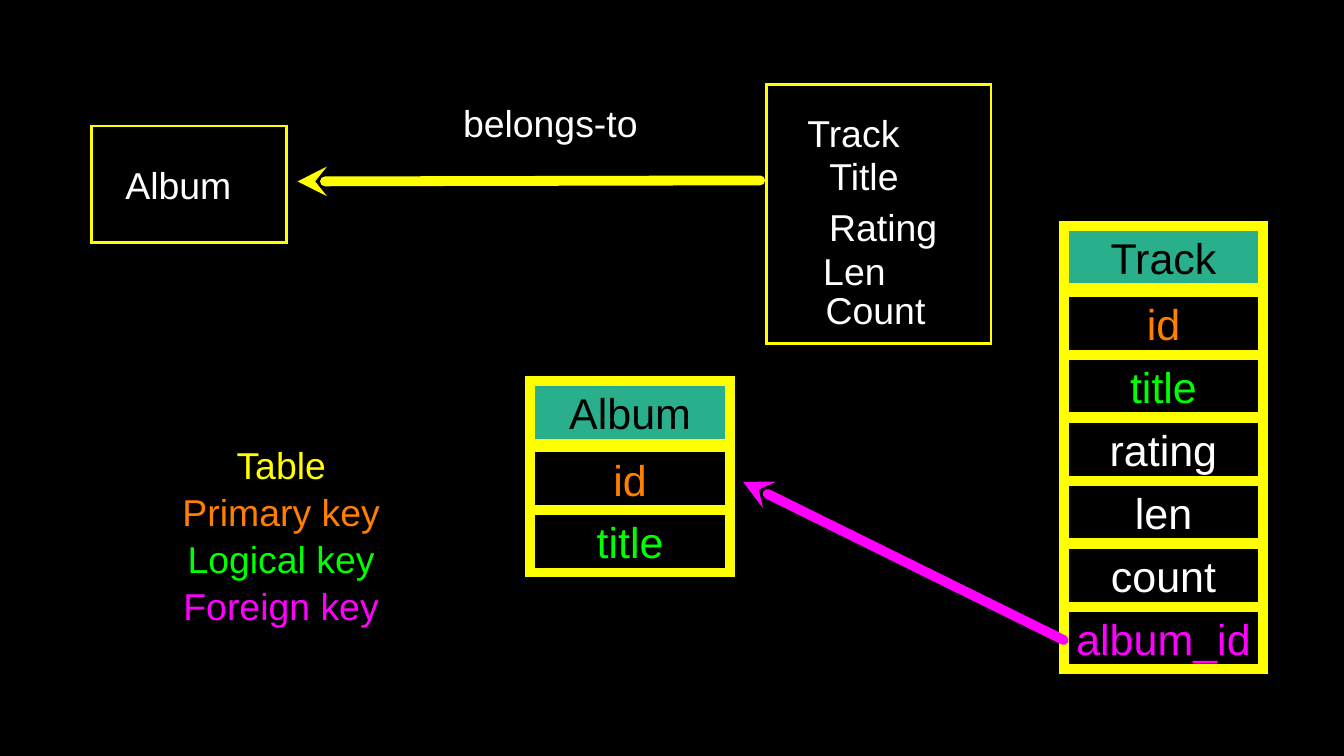
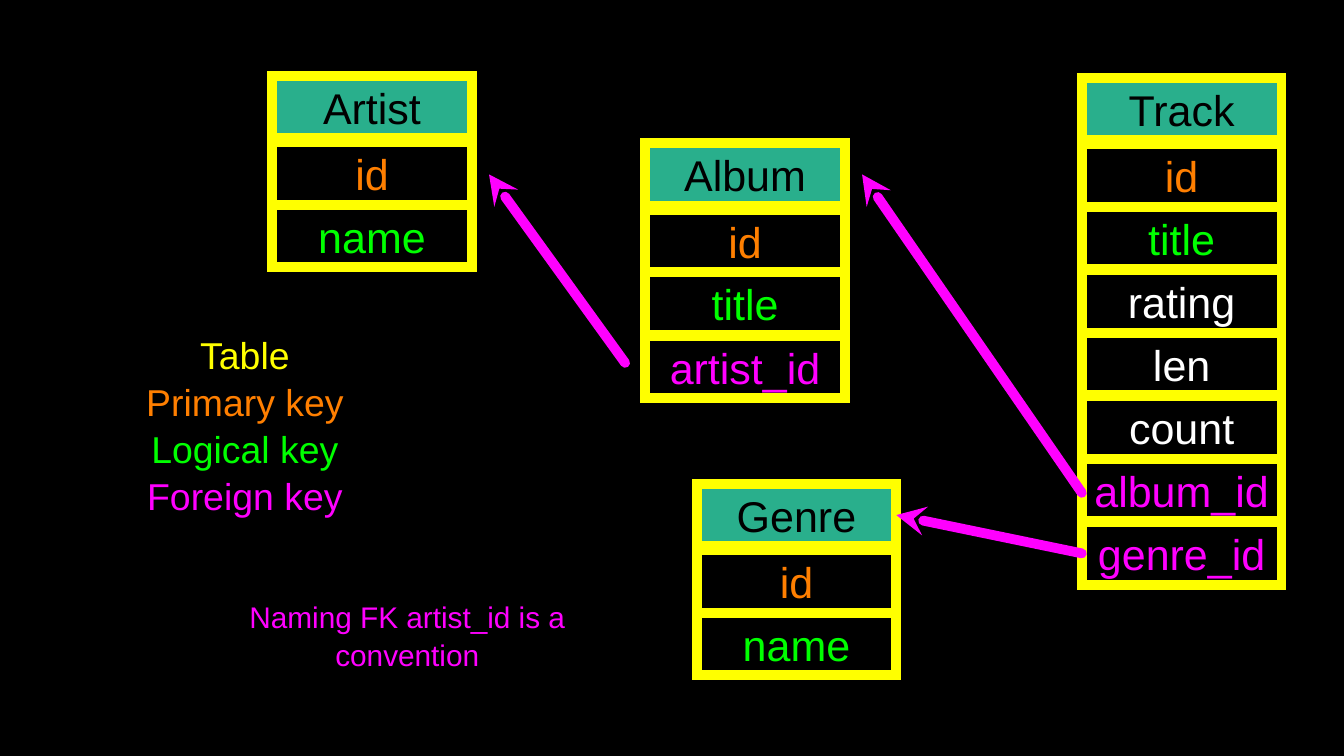
from lxml import etree
from pptx import Presentation
from pptx.dml.color import RGBColor
from pptx.enum.shapes import MSO_CONNECTOR, MSO_SHAPE
from pptx.enum.text import MSO_ANCHOR, PP_ALIGN
from pptx.oxml.ns import qn
from pptx.util import Pt

SCALE = 9144
SLIDE_WIDTH, SLIDE_HEIGHT = 1333, 750

BLACK = RGBColor(0x00, 0x00, 0x00)
WHITE = RGBColor(0xFF, 0xFF, 0xFF)
YELLOW = RGBColor(0xFF, 0xFF, 0x00)
TEAL = RGBColor(0x29, 0xAF, 0x8C)
ORANGE = RGBColor(0xFF, 0x7F, 0x00)
GREEN = RGBColor(0x00, 0xFF, 0x00)
MAGENTA = RGBColor(0xFF, 0x00, 0xFF)

RECTANGLE = MSO_SHAPE.RECTANGLE
STRAIGHT = MSO_CONNECTOR.STRAIGHT
MIDDLE = MSO_ANCHOR.MIDDLE
CENTER = PP_ALIGN.CENTER

FONT = "Arial"
CELL_SIZE, LABEL_SIZE, NOTE_SIZE = 30.7, 26.7, 21.3
THIN, THICK = 2, 7
BLANK_LAYOUT = 6

CELL_WIDTH, CELL_HEIGHT = 198, 62
FIRST_FIELD_TOP = 66
TWO_FIELDS_PITCH = 125
LABEL_HEIGHT = 51
LEGEND_HEIGHT = 179
LOOSE_SPACING = 1.05

FRAME_FORMAT = {
    "margin_left": 0, "margin_right": 0, "margin_top": 0, "margin_bottom": 0,
    "vertical_anchor": MIDDLE, "word_wrap": True,
}
LEGEND = [("Table", YELLOW), ("Primary key", ORANGE), ("Logical key", GREEN), ("Foreign key", MAGENTA)]
ID = ("id", ORANGE)
TITLE = ("title", GREEN)
NAME = ("name", GREEN)
TRACK_FIELDS = [
    ID, TITLE, ("rating", WHITE), ("len", WHITE), ("count", WHITE), ("album_id", MAGENTA),
]
TRACK_LABELS = [
    ("Track", 30, 22, 113),
    ("Title", 47, 65, 100),
    ("Rating", 50, 115, 132),
    ("Len", 45, 159, 85),
    ("Count", 55, 198, 107),
]


def px(*lengths):
    """Turn px lengths into EMU."""
    return [length * SCALE for length in lengths]


def set_attributes(target, values):
    """Set each attribute named in a dict of format values."""
    for name, value in values.items():
        setattr(target, name, value)


def write_text(shape, lines, size, spacing=None):
    """Write centred (text, colour) lines into a shape."""
    frame = shape.text_frame
    set_attributes(frame, FRAME_FORMAT)
    for index, (text, color) in enumerate(lines):
        paragraph = frame.add_paragraph() if index else frame.paragraphs[0]
        set_attributes(paragraph, {"alignment": CENTER, "line_spacing": spacing})
        run = paragraph.add_run()
        run.text = text
        set_attributes(run.font, {"name": FONT, "size": Pt(size)})
        run.font.color.rgb = color


def add_text(slide, box, lines, size=LABEL_SIZE, spacing=None):
    """Add a text box."""
    write_text(slide.shapes.add_textbox(*px(*box)), lines, size, spacing)


def add_rectangle(slide, box, weight, fill=None):
    """Add a yellow outlined rectangle with square corners."""
    shape = slide.shapes.add_shape(RECTANGLE, *px(*box))
    shape.shadow.inherit = False
    if fill is None:
        shape.fill.background()
    else:
        shape.fill.solid()
        shape.fill.fore_color.rgb = fill
    shape.line.color.rgb = YELLOW
    shape.line.width = Pt(weight)
    etree.SubElement(shape.line._get_or_add_ln(), qn("a:miter"), lim="800000")
    return shape


def add_arrow(slide, tip, tail, color):
    """Add a thick round-capped arrow that points at tip."""
    connector = slide.shapes.add_connector(STRAIGHT, *px(*tip, *tail))
    connector.line.color.rgb = color
    connector.line.width = Pt(THICK)
    outline = connector.line._get_or_add_ln()
    outline.set("cap", "rnd")
    etree.SubElement(outline, qn("a:headEnd"), type="stealth")
    etree.SubElement(connector._element.spPr, qn("a:effectLst"))


def add_entity(slide, left, top, name, fields):
    """Stack a teal header and one outlined cell per field."""
    header = add_rectangle(slide, (left, top, CELL_WIDTH, CELL_HEIGHT), THICK, TEAL)
    write_text(header, [(name, BLACK)], CELL_SIZE)
    for index, field in enumerate(fields):
        field_top = top + FIRST_FIELD_TOP + index * TWO_FIELDS_PITCH // 2
        cell = add_rectangle(slide, (left, field_top, CELL_WIDTH, CELL_HEIGHT), THICK)
        write_text(cell, [field], CELL_SIZE)


def add_legend(slide, left, top, width):
    """Add the colour key."""
    add_text(slide, (left, top, width, LEGEND_HEIGHT), LEGEND, spacing=LOOSE_SPACING)


def add_concept(slide, box, labels):
    """Add an outlined box with labels placed from its top left corner."""
    add_rectangle(slide, box, THIN)
    left, top = box[:2]
    for text, offset_x, offset_y, width in labels:
        label_box = (left + offset_x, top + offset_y, width, LABEL_HEIGHT)
        add_text(slide, label_box, [(text, WHITE)])


def add_blank_slide(presentation):
    """Add a slide on the blank layout."""
    return presentation.slides.add_slide(presentation.slide_layouts[BLANK_LAYOUT])


def build_relation_slide(presentation):
    """Build the slide that turns a relation into two tables."""
    slide = add_blank_slide(presentation)
    add_concept(slide, (91, 125, 193, 116), [("Album", 21, 33, 130)])
    add_concept(slide, (760, 84, 223, 257), TRACK_LABELS)
    add_arrow(slide, (295, 180), (754, 179), YELLOW)
    add_text(slide, (442, 96, 208, LABEL_HEIGHT), [("belongs-to", WHITE)])
    add_entity(slide, 526, 378, "Album", [ID, TITLE])
    add_entity(slide, 1055, 224, "Track", TRACK_FIELDS)
    add_arrow(slide, (737, 478), (1055, 635), MAGENTA)
    add_legend(slide, 149, 440, 260)


def build_schema_slide(presentation):
    """Build the slide with the four linked tables."""
    slide = add_blank_slide(presentation)
    add_entity(slide, 270, 75, "Artist", [ID, NAME])
    add_entity(slide, 640, 142, "Album", [ID, TITLE, ("artist_id", MAGENTA)])
    add_entity(slide, 691, 480, "Genre", [ID, NAME])
    add_entity(slide, 1073, 77, "Track", TRACK_FIELDS + [("genre_id", MAGENTA)])
    add_arrow(slide, (855, 173), (1073, 489), MAGENTA)
    add_arrow(slide, (889, 511), (1073, 549), MAGENTA)
    add_arrow(slide, (485, 173), (620, 360), MAGENTA)
    add_legend(slide, 97, 331, 292)
    note = [("Naming FK artist_id is a convention", MAGENTA)]
    add_text(slide, (221, 592, 366, 75), note, NOTE_SIZE, LOOSE_SPACING)


def main():
    """Build and save the presentation."""
    presentation = Presentation()
    presentation.slide_width, presentation.slide_height = px(SLIDE_WIDTH, SLIDE_HEIGHT)
    background = presentation.slide_master.background.fill
    background.solid()
    background.fore_color.rgb = BLACK
    build_relation_slide(presentation)
    build_schema_slide(presentation)
    presentation.save("out.pptx")


if __name__ == "__main__":
    main()
